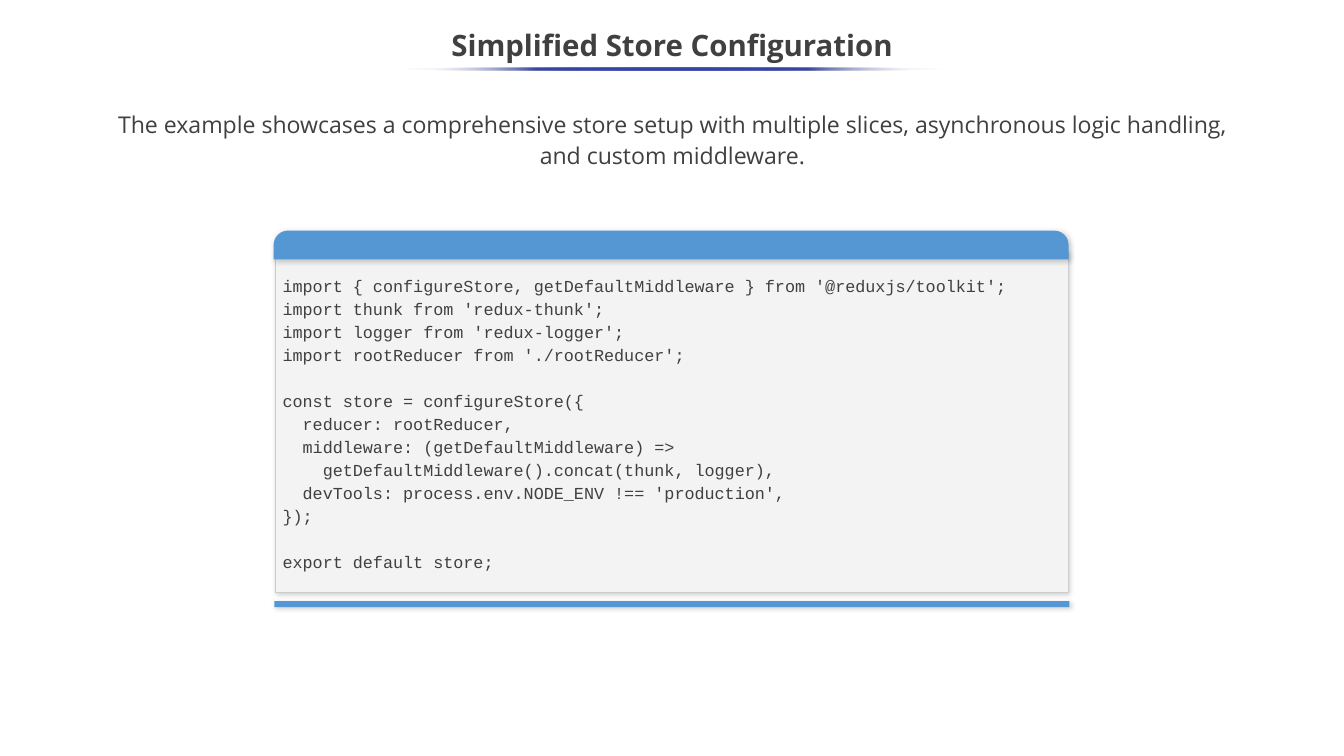
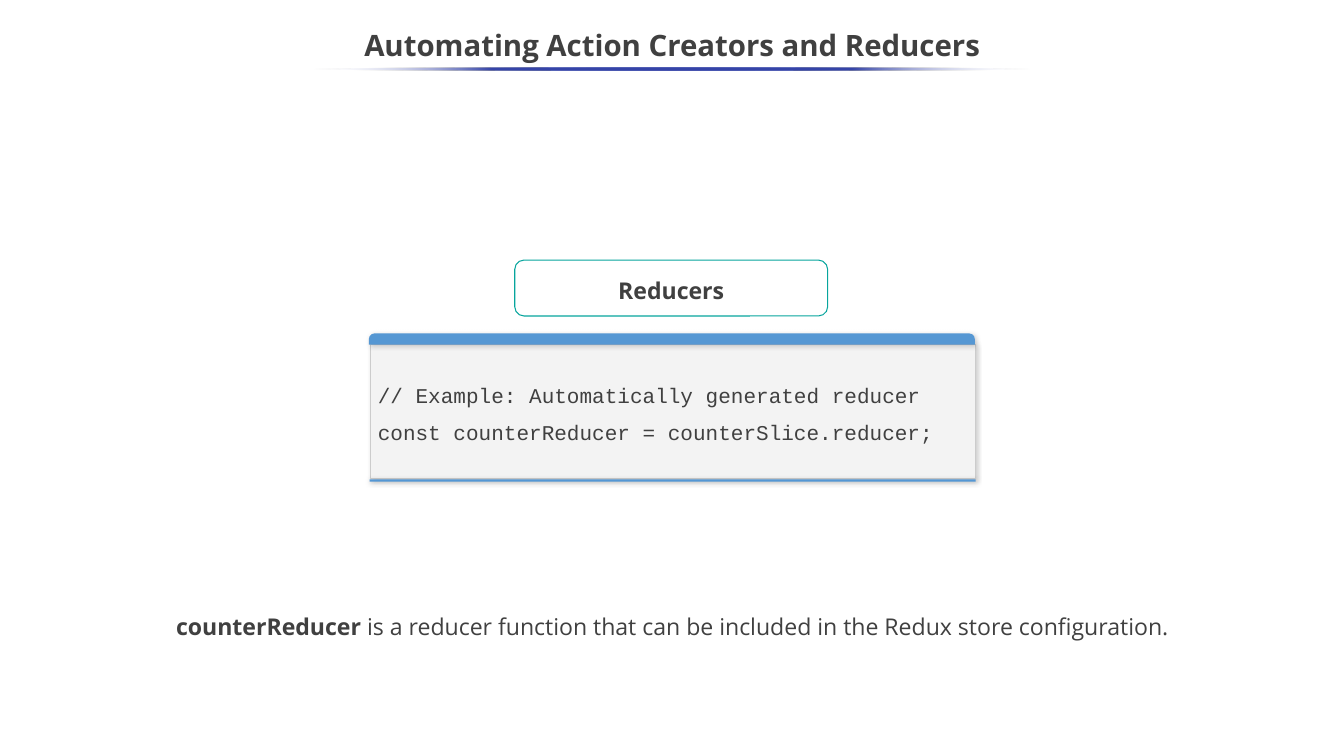
from dataclasses import dataclass

from lxml import etree
from pptx import Presentation
from pptx.dml.color import RGBColor
from pptx.enum.shapes import MSO_SHAPE
from pptx.enum.text import MSO_ANCHOR, MSO_AUTO_SIZE, PP_ALIGN
from pptx.oxml import parse_xml
from pptx.oxml.ns import nsdecls, qn
from pptx.util import Pt

# Shared look
PAGE_WIDTH, PAGE_HEIGHT = 1280.16, 720
INK, WHITE, INDIGO, TEAL = "404040", "FFFFFF", "3645A9", "07A59D"
CODE_FILL, CODE_EDGE, HEADER_BLUE, FOOTER_BLUE = "F3F3F3", "CCCCCC", "5597D3", "5497D4"
TEXT_FONT, CODE_FONT = "Open Sans", "Courier New"
TITLE_SIZE, BODY_SIZE = 28, 22
UNDERLINE_STOPS = ((0, WHITE, 0), (25, INDIGO, 100), (50, INDIGO, 100),
                   (75, INDIGO, 100), (100, WHITE, 0))


@dataclass
class Area:
    left: float
    top: float
    width: float
    height: float

    def lengths(self) -> tuple:
        return Pt(self.left), Pt(self.top), Pt(self.width), Pt(self.height)


@dataclass
class Span:
    text: str
    bold: bool = False


@dataclass
class CodePanel:
    body: Area
    header_top: float
    header_height: float
    footer_top: float
    footer_height: float
    size: float
    space_after: float
    gap: float
    blocks: list


def colour(value: str) -> RGBColor:
    return RGBColor.from_string(value)


def set_all(target, values: dict) -> None:
    for name, value in values.items():
        setattr(target, name, value)


def format_frame(frame, anchor, side: float, edge: float) -> None:
    set_all(frame, {
        "word_wrap": True, "auto_size": MSO_AUTO_SIZE.NONE, "vertical_anchor": anchor,
        "margin_left": Pt(side), "margin_right": Pt(side),
        "margin_top": Pt(edge), "margin_bottom": Pt(edge),
    })


def write(para, spans: list, size: float, font: str = TEXT_FONT, **layout) -> None:
    set_all(para, layout)
    for span in spans:
        run = para.add_run()
        run.text = span.text
        set_all(run.font, {"name": font, "size": Pt(size), "bold": span.bold})
        run.font.color.rgb = colour(INK)


def add_shadow(shape) -> None:
    effects = shape._element.spPr.find(qn("a:effectLst"))
    shadow = etree.SubElement(effects, qn("a:outerShdw"), {
        "blurRad": str(Pt(4.5)), "dist": str(Pt(1.5)), "dir": str(47 * 60000),
        "algn": "tl", "rotWithShape": "0"})
    tone = etree.SubElement(shadow, qn("a:srgbClr"), val="000000")
    etree.SubElement(tone, qn("a:alpha"), val="20000")


def add_box(shapes, kind, area: Area, fill: str, line: str = "",
            line_width: float = 0.75, shadow: bool = False):
    box = shapes.add_shape(kind, *area.lengths())
    box.shadow.inherit = False
    box.fill.solid()
    box.fill.fore_color.rgb = colour(fill)
    if line:
        box.line.color.rgb = colour(line)
        box.line.width = Pt(line_width)
    else:
        box.line.fill.background()
    if shadow:
        add_shadow(box)
    return box


def add_underline(page, width: float) -> None:
    area = Area((PAGE_WIDTH - width) / 2, 64.1, width, 2.9)
    rule = add_box(page.shapes, MSO_SHAPE.OVAL, area, INDIGO)
    stops = "".join(
        f'<a:gs pos="{place * 1000}"><a:srgbClr val="{tone}">'
        f'<a:alpha val="{alpha * 1000}"/></a:srgbClr></a:gs>'
        for place, tone, alpha in UNDERLINE_STOPS)
    gradient = parse_xml(
        f'<a:gradFill {nsdecls("a")} rotWithShape="1"><a:gsLst>{stops}</a:gsLst>'
        '<a:lin ang="10800000" scaled="0"/></a:gradFill>')
    properties = rule._element.spPr
    properties.replace(properties.find(qn("a:solidFill")), gradient)


def add_page(deck, title: str, underline_width: float):
    page = deck.slides.add_slide(deck.slide_layouts[5])
    heading = page.shapes.title
    left, top, width, height = Area(-0.72, 18, 1281.6, 54).lengths()
    set_all(heading, {"left": left, "top": top, "width": width, "height": height})
    format_frame(heading.text_frame, MSO_ANCHOR.MIDDLE, 7.2, 3.6)
    write(heading.text_frame.paragraphs[0], [Span(title, True)], TITLE_SIZE,
          alignment=PP_ALIGN.CENTER, line_spacing=0.9)
    add_underline(page, underline_width)
    return page


def add_statement(page, top: float, spans: list) -> None:
    box = page.shapes.add_textbox(*Area(101.2, top, 1078.56, 29.52).lengths())
    format_frame(box.text_frame, MSO_ANCHOR.TOP, 7.2, 0)
    write(box.text_frame.paragraphs[0], spans, BODY_SIZE,
          alignment=PP_ALIGN.CENTER, line_spacing=1.15)


def add_code_panel(page, panel: CodePanel) -> None:
    shapes = page.shapes.add_group_shape().shapes
    body = panel.body
    box = add_box(shapes, MSO_SHAPE.RECTANGLE, body, CODE_FILL, CODE_EDGE, shadow=True)
    format_frame(box.text_frame, MSO_ANCHOR.MIDDLE, 7.2, 7.2)

    # Code lines, with a gap above each block but the first
    para = box.text_frame.paragraphs[0]
    for block_number, block in enumerate(panel.blocks):
        for line_number, line in enumerate(block.splitlines()):
            if block_number or line_number:
                para = box.text_frame.add_paragraph()
            opens_block = block_number > 0 and line_number == 0
            write(para, [Span(line)], panel.size, CODE_FONT,
                  alignment=PP_ALIGN.LEFT, line_spacing=1.14,
                  space_before=Pt(panel.gap if opens_block else 0),
                  space_after=Pt(panel.space_after))

    # Bars below and above the code
    bar_width = body.width + 1.2
    add_box(shapes, MSO_SHAPE.RECTANGLE,
            Area(body.left - 0.72, panel.footer_top, bar_width, panel.footer_height),
            FOOTER_BLUE, shadow=True)
    header = add_box(shapes, MSO_SHAPE.ROUND_2_SAME_RECTANGLE,
                     Area(body.left - 1.44, panel.header_top, bar_width, panel.header_height),
                     HEADER_BLUE, shadow=True)
    header.adjustments[0] = 0.5
    header.adjustments[1] = 0


def add_label(page, area: Area, text: str) -> None:
    label = add_box(page.shapes, MSO_SHAPE.ROUNDED_RECTANGLE, area, WHITE, TEAL, 1)
    format_frame(label.text_frame, MSO_ANCHOR.MIDDLE, 7.2, 3.6)
    write(label.text_frame.paragraphs[0], [Span(text, True)], BODY_SIZE,
          alignment=PP_ALIGN.CENTER, line_spacing=1.15)


STORE_CODE = [
    """import { configureStore, getDefaultMiddleware } from '@reduxjs/toolkit';
import thunk from 'redux-thunk';
import logger from 'redux-logger';
import rootReducer from './rootReducer';""",
    """const store = configureStore({
  reducer: rootReducer,
  middleware: (getDefaultMiddleware) =>
    getDefaultMiddleware().concat(thunk, logger),
  devTools: process.env.NODE_ENV !== 'production',
});""",
    "export default store;",
]
REDUCER_CODE = ["""// Example: Automatically generated reducer
const counterReducer = counterSlice.reducer;"""]


def main() -> None:
    deck = Presentation()
    deck.slide_width, deck.slide_height = Pt(PAGE_WIDTH), Pt(PAGE_HEIGHT)

    # Store configuration
    page = add_page(deck, "Simplified Store Configuration", 514.8)
    add_statement(page, 100.8, [Span(
        "The example showcases a comprehensive store setup with multiple slices, "
        "asynchronous logic handling, and custom middleware.")])
    add_code_panel(page, CodePanel(
        Area(262.1, 239.8, 756, 324.7), header_top=219.6, header_height=27.4,
        footer_top=572.4, footer_height=5.8, size=16, space_after=0, gap=22,
        blocks=STORE_CODE))

    # Action creators and reducers
    page = add_page(deck, "Automating Action Creators and Reducers", 685.4)
    add_code_panel(page, CodePanel(
        Area(352.8, 328.3, 576, 127.4), header_top=317.5, header_height=10.8,
        footer_top=456.5, footer_height=2.2, size=20, space_after=8, gap=0,
        blocks=REDUCER_CODE))
    add_statement(page, 578.9, [
        Span("counterReducer", True),
        Span(" is a reducer function that can be included in the Redux store configuration.")])
    add_label(page, Area(490.3, 247.7, 298.1, 53.3), "Reducers")

    deck.save("out.pptx")


if __name__ == "__main__":
    main()
